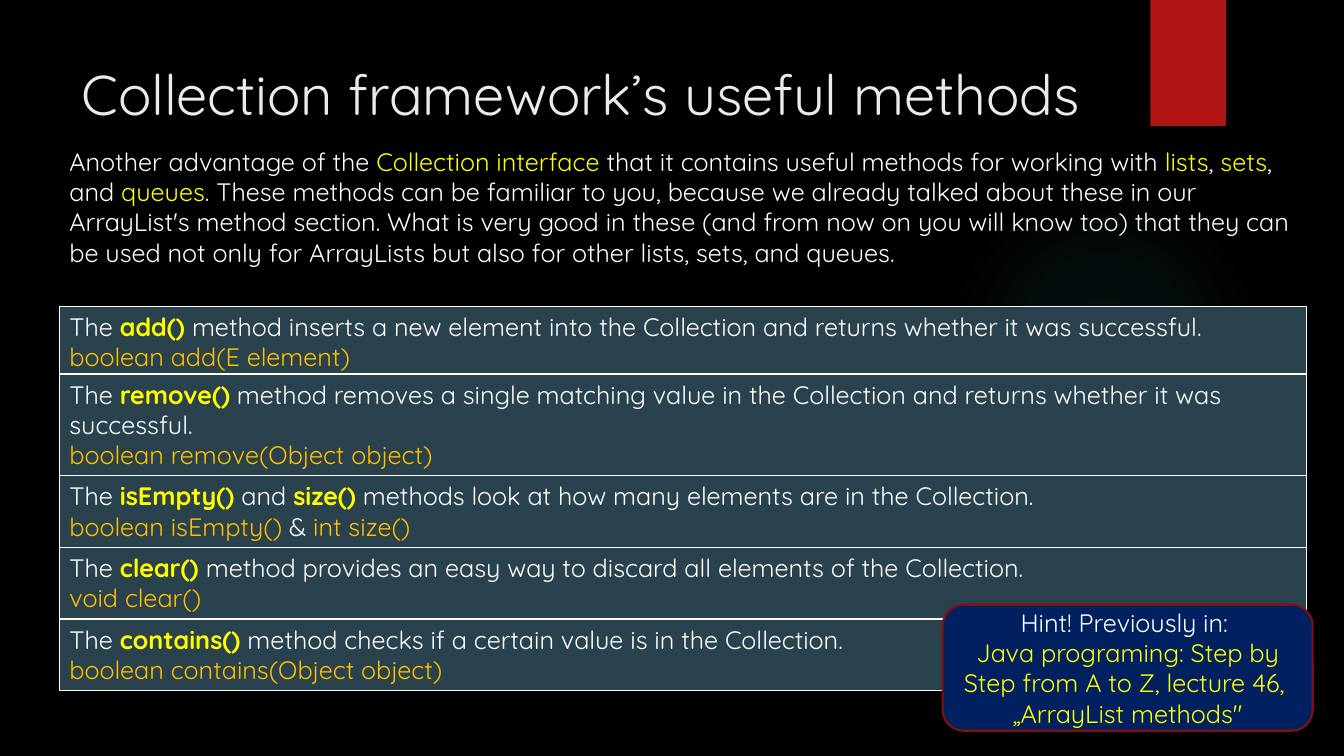
from dataclasses import dataclass

from lxml import etree
from pptx import Presentation
from pptx.dml.color import RGBColor
from pptx.enum import shapes, text
from pptx.oxml import ns
from pptx.util import Pt

SCALE = 9144
KIND = shapes.MSO_SHAPE
ALIGN = text.PP_ALIGN
ANCHOR = text.MSO_ANCHOR
FIT = text.MSO_AUTO_SIZE


@dataclass(frozen=True)
class Theme:
    font: str = "Quicksand"
    head: int = 40
    body: int = 18
    back: str = "000000"
    title: str = "EBEBEB"
    plain: str = "FFFFFF"
    key: str = "FFFF00"
    code: str = "FFC000"
    row: str = "2A424D"
    hint: str = "002060"
    rim: str = "82100E"
    tab: str = "B01513"
    glow: str = "50B9C1"


THEME = Theme()
STYLES = {
    "plain": {"color": THEME.plain},
    "key": {"color": THEME.key},
    "bold": {"color": THEME.key, "bold": True},
    "code": {"color": THEME.code},
    "title": {"color": THEME.title, "size": THEME.head},
}

INTRO = [[
    ("plain", "Another advantage of the "),
    ("key", "Collection interface"),
    ("plain", " that it contains useful methods for working with "),
    ("key", "lists"), ("plain", ", "),
    ("key", "sets"), ("plain", ", and "),
    ("key", "queues"),
    ("plain", ". These methods can be familiar to you, because we already talked "
              "about these in our ArrayList's method section. What is very good in "
              "these (and from now on you will know too) that they can be used not "
              "only for ArrayLists but also for other lists, sets, and queues."),
]]

METHODS = [
    (304, 2, [("plain", "The "), ("bold", "add() "),
              ("plain", "method inserts a new element into the Collection and "
                        "returns whether it was successful.")],
     [("code", "boolean add(E element)")]),
    (371, 3, [("plain", "The "), ("bold", "remove()"),
              ("plain", " method removes a single matching value in the Collection "
                        "and returns whether it was successful.")],
     [("code", "boolean remove(Object object)")]),
    (472, 2, [("plain", "The "), ("bold", "isEmpty() "), ("plain", "and "),
              ("bold", "size() "),
              ("plain", "methods look at how many elements are in the Collection.")],
     [("code", "boolean isEmpty() "), ("plain", "& "), ("code", "int size()")]),
    (543, 2, [("plain", "The "), ("bold", "clear() "),
              ("plain", "method provides an easy way to discard all elements of "
                        "the Collection.")],
     [("code", "void clear()")]),
    (614, 2, [("plain", "The "), ("bold", "contains() "),
              ("plain", "method checks if a certain value is in the Collection.")],
     [("code", "boolean contains(Object object)")]),
]

HINT = [
    [("plain", "Hint! Previously in: ")],
    [("key", "Java programing: Step by Step from A to Z, lecture 46, ")],
    [("key", "„ArrayList methods\"")],
]


def px(*vals):
    return [val * SCALE for val in vals]


def rgb(code):
    return RGBColor.from_string(code)


def style(font, name):
    look = {"name": THEME.font, "size": THEME.body, "bold": False} | STYLES[name]
    font.color.rgb = rgb(look.pop("color"))
    look["size"] = Pt(look["size"])
    for key, val in look.items():
        setattr(font, key, val)


def write(shape, paras, align=ALIGN.LEFT, **frame):
    body = shape.text_frame
    for key, val in ({"word_wrap": True, "vertical_anchor": ANCHOR.TOP} | frame).items():
        setattr(body, key, val)
    for num, runs in enumerate(paras):
        para = body.add_paragraph() if num else body.paragraphs[0]
        para.alignment = align
        for name, words in runs:
            run = para.add_run()
            run.text = words
            style(run.font, name)


def block(slide, kind, box, fill, line=None, width=1):
    shape = slide.shapes.add_shape(kind, *px(*box))
    shape.shadow.inherit = False
    shape.fill.solid()
    shape.fill.fore_color.rgb = rgb(fill)
    if line:
        shape.line.color.rgb = rgb(line)
        shape.line.width = Pt(width)
    else:
        shape.line.fill.background()
    return shape


def tint(code, alpha):
    return f'<a:srgbClr val="{code}"><a:alpha val="{alpha * 1000}"/></a:srgbClr>'


def node(tag, inner):
    return etree.fromstring(f'<a:{tag} {ns.nsdecls("a")}>{inner}</a:{tag}>')


def glow(slide):
    shape = block(slide, KIND.OVAL, (941, 183, 308, 308), THEME.glow)
    stops = "".join(f'<a:gs pos="{pos * 1000}">{tint(THEME.glow, alpha)}</a:gs>'
                    for pos, alpha in ((0, 7), (36, 6), (69, 0)))
    grad = node("gradFill", f'<a:gsLst>{stops}</a:gsLst><a:path path="circle">'
                '<a:fillToRect l="50000" t="50000" r="50000" b="50000"/></a:path>')
    props = shape.element.spPr
    props.replace(props.find(ns.qn("a:solidFill")), grad)


def tab(slide):
    shape = block(slide, KIND.RECTANGLE, (1141, 0, 75, 125), THEME.tab)
    shade = node("effectLst", f'<a:outerShdw blurRad="{Pt(3)}" dist="{Pt(2)}" '
                 f'dir="5400000" rotWithShape="0">{tint(THEME.back, 45)}</a:outerShdw>')
    props = shape.element.spPr
    props.replace(props.find(ns.qn("a:effectLst")), shade)


def head(slide, words):
    title = slide.shapes.title
    spots = zip(("left", "top", "width", "height"), px(71, 48, 1076, 88))
    for key, val in spots:
        setattr(title, key, val)
    write(title, [[("title", words)]], auto_size=FIT.NONE,
          vertical_anchor=ANCHOR.MIDDLE)


def main():
    deck = Presentation()
    deck.slide_width, deck.slide_height = px(1333, 750)
    slide = deck.slides.add_slide(deck.slide_layouts[5])
    slide.background.fill.solid()
    slide.background.fill.fore_color.rgb = rgb(THEME.back)
    glow(slide)
    tab(slide)
    head(slide, "Collection framework’s useful methods")
    intro = slide.shapes.add_textbox(*px(59, 140, 1237, 131))
    write(intro, INTRO, auto_size=FIT.SHAPE_TO_FIT_TEXT)
    for top, lines, *paras in METHODS:
        row = block(slide, KIND.RECTANGLE, (59, top, 1237, 11 + 30 * lines),
                    THEME.row, THEME.plain)
        write(row, paras, auto_size=FIT.SHAPE_TO_FIT_TEXT)
    hint = block(slide, KIND.FLOWCHART_ALTERNATE_PROCESS, (935, 600, 367, 125),
                 THEME.hint, THEME.rim, 1.5)
    write(hint, HINT, ALIGN.CENTER, vertical_anchor=ANCHOR.MIDDLE)
    deck.save("out.pptx")


if __name__ == "__main__":
    main()
